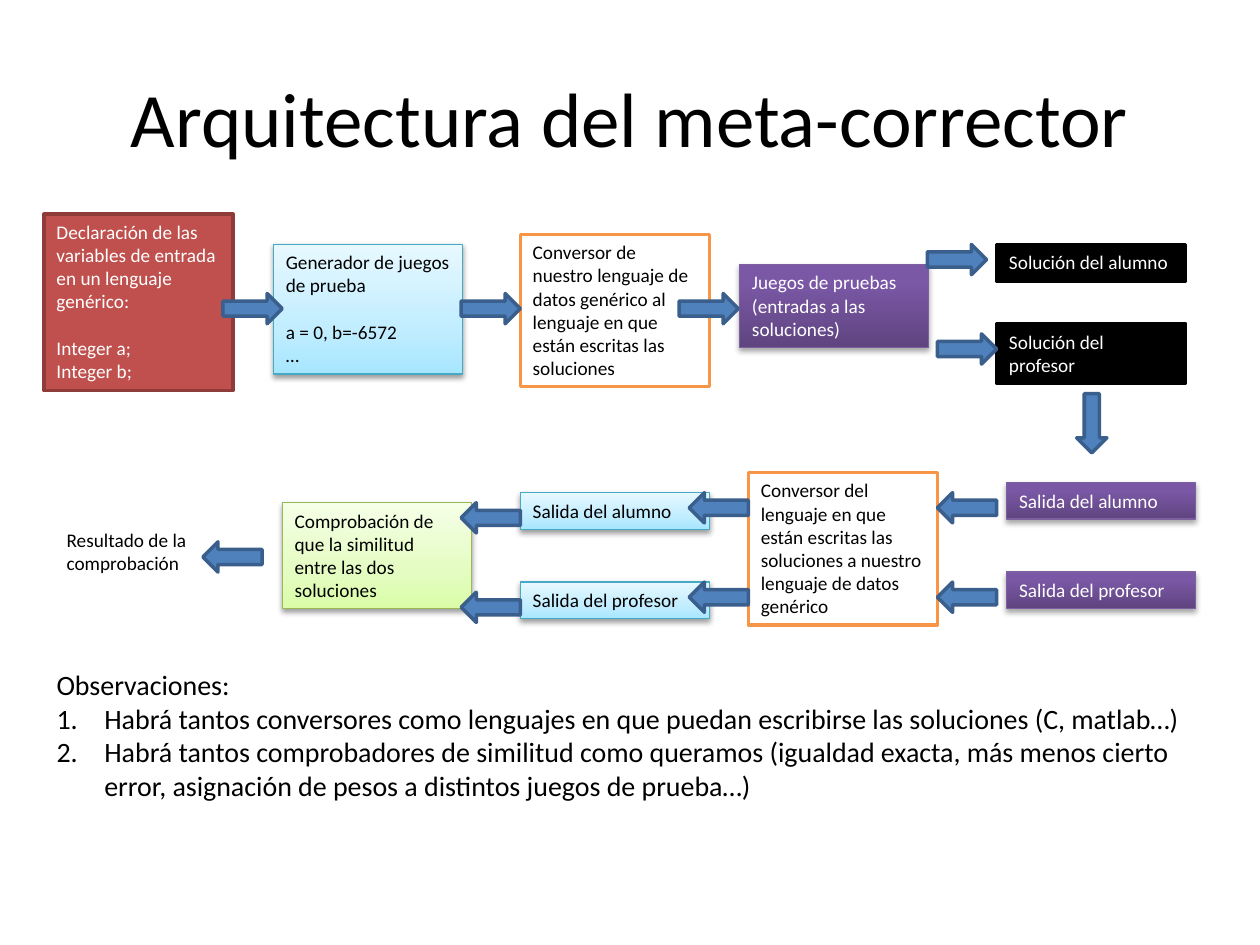
"""Build the slide on the architecture of the meta-corrector."""
from dataclasses import dataclass
from typing import Any

from lxml import etree
from pptx import Presentation
from pptx import util as u
from pptx.dml.color import RGBColor
from pptx.enum import shapes, text
from pptx.oxml.ns import qn


def colour(value):
    return RGBColor.from_string(value)


def child(parent, tag, **attributes):
    return etree.SubElement(parent, qn(tag), {k: str(v) for k, v in attributes.items()})


@dataclass
class Look:
    ink: str = "000000"
    fill: Any = "FFFFFF"
    line: str = ""
    weight: float = 2
    shadow: tuple = ()


SOFT = (20000, 38000)
RED = Look("FFFFFF", "C0504D", "8E3B39")
BLACK = Look("FFFFFF", "000000", "000000")
ORANGE = Look(line="F79646")
PLAIN = Look()
BLUE = Look("000000", [(0, "A7E6FF"), (35, "C1EDFF"), (100, "E7F8FF")], "46AAC5", 0.75, SOFT)
GREEN = Look("000000", [(0, "DAFDA7"), (35, "E4FCC2"), (100, "F5FFE7")], "98B955", 0.75, SOFT)
PURPLE = Look("FFFFFF", [(0, "5F4480"), (80, "7B58A6"), (100, "7C57A8")], "7D60A0", 0.75,
              (23000, 35000))
ARROW = Look("FFFFFF", "4F81BD", "3A5F8C")


class Page:
    font = "Calibri"

    def __init__(self, deck):
        self.slide = deck.slides.add_slide(deck.slide_layouts[5])

    def add_span(self, para, words, size, ink):
        span = para.add_run()
        span.text = words
        span.font.name = self.font
        span.font.size = u.Pt(size)
        span.font.color.rgb = colour(ink)

    def title(self, words):
        box = self.slide.shapes.title
        box.left, box.top, box.width, box.height = map(u.Inches, (0.5, 0.3, 9, 1.25))
        para = box.text_frame.paragraphs[0]
        para.alignment = text.PP_ALIGN.CENTER
        self.add_span(para, words, 44, "000000")

    def shape(self, kind, left, top, width, height, look):
        shape = self.slide.shapes.add_shape(kind, *map(u.Inches, (left, top, width, height)))
        if isinstance(look.fill, str):
            shape.fill.solid()
            shape.fill.fore_color.rgb = colour(look.fill)
        else:
            shape.fill.gradient()
            shape.fill.gradient_angle = 90
            stops = shape.element.spPr.find(qn("a:gradFill")).find(qn("a:gsLst"))
            for stop in list(stops):
                stops.remove(stop)
            for place, value in look.fill:
                child(child(stops, "a:gs", pos=place * 1000), "a:srgbClr", val=value)
        if look.line:
            shape.line.color.rgb = colour(look.line)
            shape.line.width = u.Pt(look.weight)
        else:
            shape.line.fill.background()
        shape.shadow.inherit = False
        if look.shadow:
            distance, alpha = look.shadow
            effects = shape.element.spPr.find(qn("a:effectLst"))
            cast = child(effects, "a:outerShdw", blurRad=40000, dist=distance, dir=5400000,
                         rotWithShape=0)
            child(child(cast, "a:srgbClr", val="000000"), "a:alpha", val=alpha)
        return shape

    def box(self, left, top, height, look, *lines, width=1.5, size=11):
        shape = self.shape(shapes.MSO_SHAPE.RECTANGLE, left, top, width, height, look)
        frame = shape.text_frame
        frame.word_wrap = True
        frame.auto_size = text.MSO_AUTO_SIZE.SHAPE_TO_FIT_TEXT
        frame.vertical_anchor = text.MSO_ANCHOR.TOP
        for index, words in enumerate(lines):
            para = frame.add_paragraph() if index else frame.paragraphs[0]
            para.alignment = text.PP_ALIGN.LEFT
            self.add_span(para, words, size, look.ink)
        return frame.paragraphs

    def example(self, *place):
        self.box(*place)[1].space_before = u.Pt(13.4)

    def notes(self, left, top, width, height, heading, *items):
        paras = self.box(left, top, height, PLAIN, heading, *items, width=width, size=16)
        for para in paras[1:]:
            props = para._p.get_or_add_pPr()
            props.set("marL", str(u.Inches(0.38)))
            props.set("indent", str(u.Inches(-0.38)))
            child(props, "a:buFont", typeface="+mj-lt")
            child(props, "a:buAutoNum", type="arabicPeriod")

    def arrow(self, left, top, turn=0):
        kind = shapes.MSO_SHAPE.RIGHT_ARROW
        self.shape(kind, left, top, 0.47, 0.24, ARROW).rotation = turn


def main():
    deck = Presentation()
    deck.slide_width, deck.slide_height = u.Inches(10), u.Inches(7.5)
    page = Page(deck)
    page.title("Arquitectura del meta-corrector")

    page.example(0.35, 1.7, 1.4, RED,
                 "Declaración de las variables de entrada en un lenguaje genérico:",
                 "Integer a;", "Integer b;")
    page.example(2.17, 1.94, 1.03, BLUE,
                 "Generador de juegos de prueba", "a = 0, b=-6572", "…")
    page.box(4.13, 1.86, 1.21, ORANGE,
             "Conversor de nuestro lenguaje de datos genérico al lenguaje en que "
             "están escritas las soluciones")
    page.box(5.87, 2.1, 0.66, PURPLE, "Juegos de pruebas (entradas a las soluciones)")
    page.box(7.91, 1.94, 0.29, BLACK, "Solución del alumno")
    page.box(7.91, 2.57, 0.47, BLACK, "Solución del profesor")

    for left, top, look in ((7.99, 3.83, PURPLE), (4.13, 3.91, BLUE)):
        for row, author in enumerate(("alumno", "profesor")):
            page.box(left, top + 0.71 * row, 0.29, look, f"Salida del {author}")
    page.box(5.94, 3.75, 1.21, ORANGE,
             "Conversor del lenguaje en que están escritas las soluciones a nuestro "
             "lenguaje de datos genérico")
    page.box(2.24, 3.99, 0.84, GREEN,
             "Comprobación de que la similitud entre las dos soluciones")
    page.box(0.43, 4.14, 0.47, PLAIN, "Resultado de la comprobación")
    page.notes(0.35, 5.25, 9.45, 1.18, "Observaciones:",
               "Habrá tantos conversores como lenguajes en que puedan escribirse las "
               "soluciones (C, matlab…)",
               "Habrá tantos comprobadores de similitud como queramos (igualdad exacta, "
               "más menos cierto error, asignación de pesos a distintos juegos de prueba…)")

    for left in (1.77, 3.66, 5.39):
        page.arrow(left, 2.33)
    page.arrow(7.36, 1.94)
    page.arrow(7.44, 2.65)
    page.arrow(8.43, 3.24, 90)
    for left, top in ((7.44, 3.91), (5.47, 3.91), (3.66, 3.99)):
        for row in range(2):
            page.arrow(left, top + 0.71 * row, 180)
    page.arrow(1.61, 4.3, 180)
    deck.save("out.pptx")


if __name__ == "__main__":
    main()
